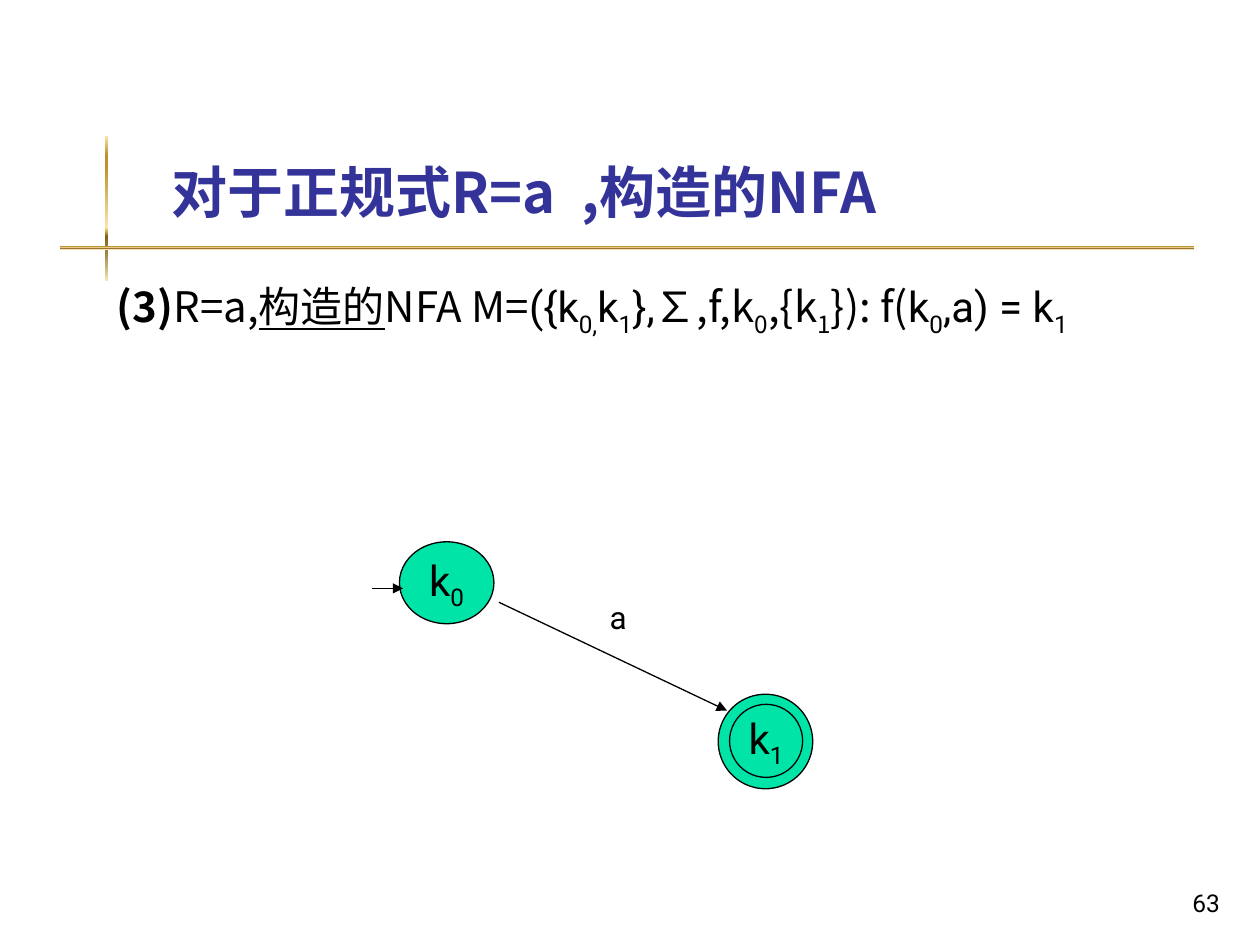
from lxml.etree import SubElement as Sub
from pptx import Presentation
from pptx.dml.color import RGBColor
from pptx.enum.shapes import MSO_CONNECTOR as Link, MSO_SHAPE as Form
from pptx.enum.text import MSO_ANCHOR as Anchor, PP_ALIGN as Align
from pptx.oxml.ns import qn
from pptx.util import Inches, Pt

BLACK = RGBColor(0, 0, 0)
NAVY = RGBColor(0x33, 0x33, 0x99)
GREEN = RGBColor(0x00, 0xE4, 0xA8)
SANS, JP, SC = "Roboto", "Noto Sans CJK JP", "Noto Sans CJK SC"
GOLD = [(0, "FBE4AE"), (13, "BD922A"), (21, "BD922A"), (63, "FBE4AE"),
        (67, "BD922A"), (69, "835E17"), (82, "A28949"), (100, "FAE3B7")]

deck = Presentation()
deck.slide_width, deck.slide_height = Inches(10), Inches(7.5)
slide = deck.slides.add_slide(deck.slide_layouts[6])
shapes = slide.shapes
UNIT = deck.slide_width / 100  # grid of 100 columns by 75 rows


def grid(*cells):
    return [round(n * UNIT) for n in cells]


def write(shape, parts, size, color=BLACK, align=Align.LEFT, anchor=Anchor.TOP, wrap=True):
    """Fill a shape with one paragraph of (text, font, style) runs."""
    frame = shape.text_frame
    frame.word_wrap, frame.vertical_anchor = wrap, anchor
    par = frame.paragraphs[0]
    par.alignment = align
    par.font.size, par.font.color.rgb = Pt(size), color
    for text, face, style in parts:
        run = par.add_run()
        run.text = text
        font = run.font
        font.size, font.name, font.color.rgb = Pt(size), face, color
        font.bold, font.underline = style == "bold", style == "line"
        props = run._r.get_or_add_rPr()
        Sub(props, qn("a:ea")).set("typeface", SC if face == SANS else face)
        if style == "sub":
            props.set("baseline", "-25000")


# Gold cross rules
for cells in [(8.3, 10.8, 0.3, 11.5), (4.8, 19.5, 90, 0.3)]:
    bar = shapes.add_shape(Form.RECTANGLE, *grid(*cells))
    bar.shadow.inherit = False
    bar.line.fill.background()
    bar.fill.gradient()
    fade = bar.fill._xPr.find(qn("a:gradFill"))
    stops = fade.find(qn("a:gsLst"))
    for old in list(stops):
        stops.remove(old)
    for pos, tone in GOLD:
        stop = Sub(stops, qn("a:gs"), pos=str(pos * 1000))
        Sub(stop, qn("a:srgbClr"), val=tone)
    fade.find(qn("a:lin")).set("ang", "5400000")

# Title
title = shapes.add_textbox(*grid(12.6, 2.3, 85.2, 16))
write(title, [("对于正规式R=a  ,构造的NFA", JP, "bold")], 32, NAVY, anchor=Anchor.BOTTOM)

# States: the accepting one has a double ring
for cells, mark in [((57, 55.1, 7.5, 7.5), ""), ((57.9, 55.9, 5.8, 5.8), "1"),
                    ((31.7, 43, 7.5, 6.5), "0")]:
    state = shapes.add_shape(Form.OVAL, *grid(*cells))
    state.shadow.inherit = False
    state.fill.solid()
    state.fill.fore_color.rgb = GREEN
    state.line.color.rgb, state.line.width = BLACK, Pt(0.75)
    if mark:
        write(state, [("k", SANS, ""), (mark, SANS, "sub")], 24,
              align=Align.CENTER, anchor=Anchor.MIDDLE, wrap=False)

# Arrows
for ends in [(29.5, 46.7, 32, 46.7), (39.6, 47.8, 57.7, 56.4)]:
    arrow = shapes.add_connector(Link.STRAIGHT, *grid(*ends))
    arrow.line.color.rgb, arrow.line.width = BLACK, Pt(0.75)
    Sub(arrow.line._get_or_add_ln(), qn("a:tailEnd"), type="triangle")
    Sub(arrow._element.spPr, qn("a:effectLst"))

# Arrow label and page number
label = shapes.add_textbox(*grid(47.4, 47, 3.9, 6.3))
write(label, [("a", SANS, "")], 18)
page = shapes.add_textbox(*grid(77, 68.3, 20.8, 5))
write(page, [("63", SANS, "")], 14, align=Align.RIGHT, anchor=Anchor.BOTTOM)

# Formula
rule = shapes.add_textbox(*grid(8.3, 21.8, 88.2, 5))
write(rule, [
    ("(3)", SC, "bold"), ("R=a,", SC, ""), ("构造的", SANS, "line"), ("NFA M=", SC, ""),
    ("({k", SANS, ""), ("0,", SANS, "sub"), ("k", SANS, ""), ("1", SANS, "sub"),
    ("},", SANS, ""), ("∑,f,k", SC, ""), ("0", SC, "sub"), (",{k", SC, ""),
    ("1", SC, "sub"), ("}): f(", SC, ""), ("k", SANS, ""), ("0", SANS, "sub"),
    (",a) = k", SANS, ""), ("1", SANS, "sub")], 24)

deck.save("out.pptx")
